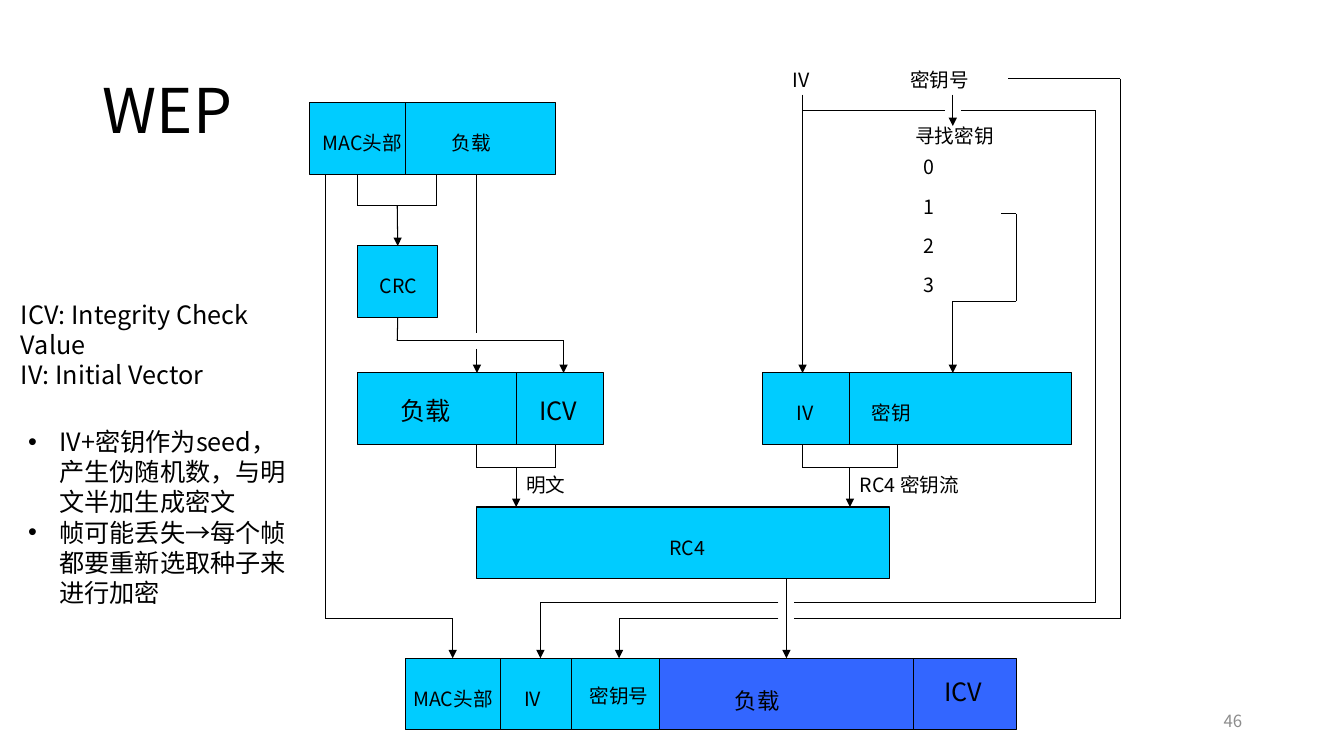
from itertools import pairwise

from lxml.etree import SubElement
from pptx import Presentation
from pptx.dml.color import RGBColor
from pptx.enum.shapes import MSO_CONNECTOR as Connector, MSO_SHAPE as Shape
from pptx.enum.text import MSO_ANCHOR as Anchor, PP_ALIGN as Align
from pptx.oxml.ns import qn
from pptx.util import Inches, Pt

COLORS = {"black": "000000", "cyan": "00CCFF", "blue": "3366FF", "gray": "8C8C8C"}
FONT = "Noto Sans CJK SC"
BAR_HEIGHT = 0.71
HEADER_Y, CRC_Y, INPUT_Y, CIPHER_Y, FRAME_Y = 1.02, 2.44, 3.7, 5.03, 6.53


def color(name):
    return RGBColor.from_string(COLORS[name])


def add_text(page, text, left, top, width, height=0.34, size=14, fill="black",
             align=Align.LEFT, anchor=Anchor.TOP, spacing=None, bullet=False):
    box = page.shapes.add_textbox(Inches(left), Inches(top), Inches(width), Inches(height))
    frame = box.text_frame
    frame.word_wrap = True
    frame.vertical_anchor = anchor
    for index, line in enumerate(text.split("\n")):
        para = frame.paragraphs[0] if index == 0 else frame.add_paragraph()
        para.alignment = align
        if spacing:
            para.line_spacing = spacing
        if bullet:
            props = para._p.get_or_add_pPr()
            props.set("marL", str(Inches(0.31)))
            props.set("indent", str(-Inches(0.31)))
            SubElement(props, qn("a:buFont"), typeface="Arial")
            SubElement(props, qn("a:buChar"), char="•")
        span = para.add_run()
        span.text = line
        span.font.size = Pt(size)
        span.font.name = FONT
        span.font.color.rgb = color(fill)
        SubElement(span._r.get_or_add_rPr(), qn("a:ea"), typeface=FONT)
    return box


def add_line(page, start, end, arrow=False):
    line = page.shapes.add_connector(Connector.STRAIGHT, *map(Inches, (*start, *end)))
    line.line.color.rgb = color("black")
    line.line.width = Pt(0.75)
    if arrow:
        SubElement(line.line._get_or_add_ln(), qn("a:tailEnd"), type="triangle")
    SubElement(line._element.spPr, qn("a:effectLst"))
    return line


def add_route(page, *points, arrow=True):
    legs = list(pairwise(points))
    return [add_line(page, start, end, arrow and index == len(legs) - 1)
            for index, (start, end) in enumerate(legs)]


def add_bar(page, left, top, width, dividers=(), fill="cyan"):
    bar = page.shapes.add_shape(Shape.RECTANGLE, Inches(left), Inches(top),
                                Inches(width), Inches(BAR_HEIGHT))
    bar.shadow.inherit = False
    bar.fill.solid()
    bar.fill.fore_color.rgb = color(fill)
    bar.line.color.rgb = color("black")
    bar.line.width = Pt(0.75)
    for x in dividers:
        add_line(page, (x, top), (x, top + BAR_HEIGHT))
    return bar


def add_merge(page, left, right, top, middle, bottom):
    add_route(page, (left, top), (left, middle), (right, middle), (right, top), arrow=False)
    center = round((left + right) / 2, 2)
    return add_line(page, (center, middle), (center, bottom), arrow=True)


def add_bars(page):
    add_bar(page, 3.07, HEADER_Y, 2.44, [4.02])
    add_bar(page, 3.55, INPUT_Y, 2.44, [5.12])
    add_bar(page, 7.56, INPUT_Y, 3.07, [8.43])
    add_bar(page, 4.73, CIPHER_Y, 4.09)
    add_bar(page, 4.02, FRAME_Y, 2.52, [4.96, 5.67])
    add_bar(page, 6.54, FRAME_Y, 3.54, [9.06], fill="blue")
    return add_bar(page, 3.55, CRC_Y, 0.79)


def add_routes(page, crc):
    header_end, input_end, cipher_end = (y + BAR_HEIGHT for y in (HEADER_Y, INPUT_Y, CIPHER_Y))
    add_merge(page, 3.55, 4.33, header_end, 2.04, CRC_Y).end_connect(crc, 0)
    add_merge(page, 4.73, 5.51, input_end, 4.64, CIPHER_Y)
    add_merge(page, 7.96, 8.9, input_end, 4.64, CIPHER_Y)

    checksum = add_route(page, (3.94, 3.15), (3.94, 3.38), (5.59, 3.38), (5.59, INPUT_Y))
    checksum[0].begin_connect(crc, 2)
    add_line(page, (4.73, header_end), (4.73, 3.3))
    add_line(page, (4.73, 3.46), (4.73, INPUT_Y), arrow=True)
    add_route(page, (3.23, header_end), (3.23, 6.14), (4.49, 6.14), (4.49, FRAME_Y))

    add_line(page, (7.96, 0.94), (7.96, INPUT_Y), arrow=True)
    add_line(page, (9.45, 0.94), (9.45, 1.25), arrow=True)
    add_route(page, (9.93, 2.12), (10.08, 2.12), (10.08, 2.99), (9.45, 2.99), (9.45, INPUT_Y))

    add_line(page, (7.96, 1.1), (9.37, 1.1))
    add_route(page, (9.53, 1.1), (10.87, 1.1), (10.87, 5.98), (7.88, 5.98), arrow=False)
    add_route(page, (7.72, 5.98), (5.36, 5.98), (5.36, FRAME_Y))
    add_route(page, (10, 0.78), (11.11, 0.78), (11.11, 6.14), (7.88, 6.14), arrow=False)
    add_route(page, (7.72, 6.14), (6.14, 6.14), (6.14, FRAME_Y))
    add_line(page, (7.8, cipher_end), (7.8, FRAME_Y), arrow=True)


def add_labels(page):
    labels = [
        ("MAC头部", 3.1, 1.25, 1.1, 14), ("负载", 4.38, 1.25, 0.8, 14),
        ("CRC", 3.67, 2.67, 0.65, 14),
        ("负载", 3.87, 3.87, 0.9, 18), ("ICV", 5.25, 3.87, 0.7, 18),
        ("IV", 7.76, 0.62, 0.6, 14), ("密钥号", 8.93, 0.62, 1, 14),
        ("寻找密钥", 8.98, 1.18, 1.26, 14),
        ("IV", 7.8, 3.93, 0.6, 14), ("密钥", 8.55, 3.93, 0.8, 14),
        ("明文", 5.12, 4.64, 1.03, 14), ("RC4  密钥流".replace("  ", " "), 8.43, 4.64, 1.42, 14),
        ("RC4", 6.54, 5.27, 1.26, 14),
        ("MAC头部", 4, 6.77, 1.1, 14), ("IV", 5.1, 6.77, 0.6, 14),
        ("密钥号", 5.75, 6.74, 0.87, 14),
        ("负载", 7.19, 6.77, 0.8, 16), ("ICV", 9.27, 6.66, 0.7, 18),
    ]
    for text, left, top, width, size in labels:
        add_text(page, text, left, top, width, size=size)
    for key in range(4):
        add_text(page, str(key), 9.06, 1.49 + key * 0.39, 0.4)


def main():
    deck = Presentation()
    deck.slide_width, deck.slide_height = Inches(13.33), Inches(7.5)
    page = deck.slides.add_slide(deck.slide_layouts[6])
    add_text(page, "WEP", 0.92, 0.4, 11.5, 1.45, size=44, anchor=Anchor.MIDDLE, spacing=0.9)
    add_text(page, "46", 9.42, 6.95, 3, 0.4, size=12, fill="gray",
             align=Align.RIGHT, anchor=Anchor.MIDDLE)
    crc = add_bars(page)
    add_routes(page, crc)
    add_labels(page)
    add_text(page, "ICV: Integrity Check Value\nIV: Initial Vector", 0.11, 2.92, 3.12, 0.71, size=18)
    add_text(page, "IV+密钥作为seed，产生伪随机数，与明文半加生成密文\n"
             "帧可能丢失→每个帧都要重新选取种子来进行加密",
             0.18, 4.18, 2.88, 1.92, size=18, bullet=True)
    deck.save("out.pptx")


if __name__ == "__main__":
    main()
